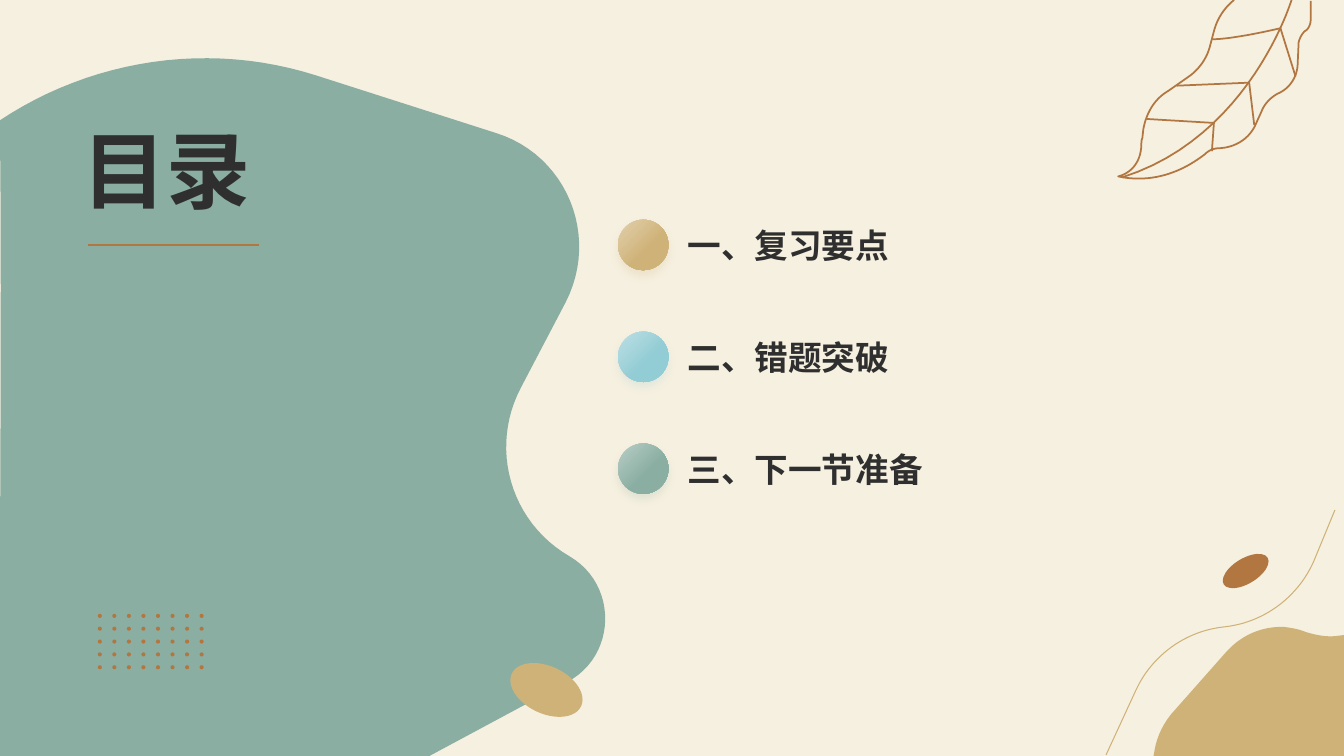
from lxml.etree import SubElement
from pptx import Presentation
from pptx.dml.color import RGBColor
from pptx.enum.shapes import MSO_CONNECTOR, MSO_SHAPE
from pptx.enum.text import MSO_ANCHOR, MSO_AUTO_SIZE, PP_ALIGN
from pptx.oxml.ns import qn
from pptx.util import Inches, Pt

CREAM = RGBColor(0xF6, 0xF0, 0xE0)
SAGE = RGBColor(0x8A, 0xAE, 0xA2)
PALE_SAGE = RGBColor(0xB9, 0xCE, 0xC7)
SAND = RGBColor(0xCF, 0xB2, 0x78)
PALE_SAND = RGBColor(0xE2, 0xD1, 0xAE)
SKY = RGBColor(0x92, 0xCC, 0xD4)
PALE_SKY = RGBColor(0xBE, 0xE0, 0xE5)
COPPER = RGBColor(0xB2, 0x76, 0x40)
INK = RGBColor(0x2F, 0x2F, 0x2F)
FONT = "Noto Sans CJK SC"
CURVE_STEPS = 24

prs = Presentation()
prs.slide_width, prs.slide_height = Inches(13.33), Inches(7.5)
slide = prs.slides.add_slide(prs.slide_layouts[5])
shapes = slide.shapes
slide.background.fill.solid()
slide.background.fill.fore_color.rgb = CREAM


def draw_outline(start, segments, fill=None, line=None, weight=1.25):
    """Segments hold an end point (2 numbers) or a cubic curve (6 numbers)."""
    points = [start]
    for segment in segments:
        if len(segment) == 2:
            points.append(segment)
            continue
        x0, y0 = points[-1]
        x1, y1, x2, y2, x3, y3 = segment
        for step in range(1, CURVE_STEPS + 1):
            t = step / CURVE_STEPS
            a, b, c, d = (1 - t) ** 3, 3 * t * (1 - t) ** 2, 3 * t * t * (1 - t), t ** 3
            points.append((a * x0 + b * x1 + c * x2 + d * x3,
                           a * y0 + b * y1 + c * y2 + d * y3))
    corners = [(Inches(x), Inches(y)) for x, y in points]
    builder = shapes.build_freeform(*corners[0])
    builder.add_line_segments(corners[1:], close=fill is not None)
    outline = builder.convert_to_shape()
    outline.shadow.inherit = False
    if fill is not None:
        outline.fill.solid()
        outline.fill.fore_color.rgb = fill
        outline.line.fill.background()
    else:
        outline.fill.background()
        outline.line.color.rgb = line
        outline.line.width = Pt(weight)


def write_text(box, text, size, anchor):
    frame = box.text_frame
    frame.word_wrap = True
    frame.auto_size = MSO_AUTO_SIZE.NONE
    frame.vertical_anchor = anchor
    paragraph = frame.paragraphs[0]
    paragraph.alignment = PP_ALIGN.LEFT
    run = paragraph.add_run()
    run.text = text
    for key, value in {"size": Pt(size), "bold": True, "name": FONT}.items():
        setattr(run.font, key, value)
    run.font.color.rgb = INK
    SubElement(run._r.get_or_add_rPr(), qn("a:ea")).set("typeface", FONT)
    return paragraph


# Large sage area on the left
draw_outline((-0.01, 1.2), [
    (0.92, 0.58, 2.08, 0.41, 3.14, 0.75), (4.92, 1.32),
    (5.62, 1.54, 5.95, 2.34, 5.61, 3), (5.17, 3.84),
    (4.85, 4.44, 5.06, 5.18, 5.65, 5.52),
    (6.13, 5.8, 6.12, 6.51, 5.62, 6.77), (4.26, 7.5), (-0.01, 7.5),
    (-0.01, 7.5, 0.03, 1.25, -0.01, 1.2)], fill=SAGE)

# Contents entries, each with a shaded dot
entries = [("一、复习要点", PALE_SAND, SAND),
           ("二、错题突破", PALE_SKY, SKY),
           ("三、下一节准备", PALE_SAGE, SAGE)]
for row, (entry, pale, full) in enumerate(entries):
    top = Inches(2.18 + 1.11 * row)
    marker = shapes.add_shape(MSO_SHAPE.OVAL, Inches(6.13), top, Inches(0.5), Inches(0.5))
    marker.line.fill.background()
    marker.fill.gradient()
    marker.fill.gradient_angle = 315
    for stop, position, color in zip(marker.fill.gradient_stops, (0, 0.6), (pale, full)):
        stop.position = position
        stop.color.rgb = color
    marker.shadow.inherit = False
    effects = marker._element.spPr.find(qn("a:effectLst"))
    glow = SubElement(effects, qn("a:outerShdw"), blurRad=str(Pt(6)), dist=str(Pt(4)),
                      dir="5400000", algn="t", rotWithShape="0")
    tint = SubElement(glow, qn("a:srgbClr"), val=str(full))
    SubElement(tint, qn("a:alpha"), val="20000")
    label = shapes.add_textbox(Inches(6.72), top, Inches(5.87), Inches(0.5))
    write_text(label, entry, 24, MSO_ANCHOR.MIDDLE)

# Title, brought in front of the sage area, and its rule
title = shapes.title
title.left, title.top = Inches(0.72), Inches(1.24)
title.width, title.height = Inches(3.96), Inches(1.11)
write_text(title, "目录", 60, MSO_ANCHOR.TOP).line_spacing = 0.9
shapes._spTree.append(title._element)
rule = shapes.add_connector(MSO_CONNECTOR.STRAIGHT, Inches(0.87), Inches(2.43),
                            Inches(2.57), Inches(2.43))
rule.line.color.rgb = COPPER
rule.line.width = Pt(2)
SubElement(rule._element.spPr, qn("a:effectLst"))

# Sand corner at the lower right
draw_outline((12.74, 6.22), [
    (12.81, 6.23, 12.88, 6.24, 12.95, 6.27), (13.05, 6.3, 13.15, 6.32, 13.25, 6.31),
    (13.33, 6.3), (13.33, 7.5), (11.44, 7.5), (11.45, 7.45),
    (11.47, 7.32, 11.53, 7.19, 11.62, 7.08), (12.16, 6.47),
    (12.31, 6.3, 12.52, 6.21, 12.74, 6.22)], fill=SAND)

# Winding line above the corner
draw_outline((10.97, 7.49), [
    (11.27, 6.84), (11.43, 6.5, 11.76, 6.26, 12.14, 6.22),
    (12.53, 6.18, 12.87, 5.93, 13.03, 5.57), (13.24, 5.06)], line=SAND, weight=0.75)

# Dot grid of 8 by 5, and the two tilted pebbles
ovals = [(0.97 + 1.01 / 7 * col, 6.09 + 0.51 / 4 * row, 0.04, 0.04, 0, COPPER)
         for col in range(8) for row in range(5)]
ovals += [(12.1, 5.54, 0.51, 0.25, 328.7, COPPER), (5.04, 6.61, 0.76, 0.47, 25.2, SAND)]
for left, top, width, height, tilt, color in ovals:
    oval = shapes.add_shape(MSO_SHAPE.OVAL, Inches(left), Inches(top),
                            Inches(width), Inches(height))
    oval.rotation = tilt
    oval.shadow.inherit = False
    oval.fill.solid()
    oval.fill.fore_color.rgb = color
    oval.line.fill.background()

# Leaf: edge, midrib and veins
leaf = [
    ((13, 0.01), [
        (13, 0.19), (13, 0.24, 12.98, 0.29, 12.94, 0.31),
        (12.91, 0.34, 12.89, 0.38, 12.88, 0.42), (12.87, 0.65),
        (12.86, 0.77, 12.79, 0.88, 12.67, 0.93), (12.6, 0.97, 12.54, 1.03, 12.51, 1.11),
        (12.46, 1.22), (12.4, 1.37, 12.26, 1.46, 12.1, 1.47),
        (12.04, 1.47, 11.99, 1.49, 11.95, 1.53), (11.82, 1.63, 11.51, 1.84, 11.09, 1.75),
        (11.09, 1.75, 11.31, 1.71, 11.32, 1.44), (11.32, 1.42, 11.32, 1.39, 11.33, 1.37),
        (11.34, 1.28), (11.37, 1.12, 11.45, 0.98, 11.59, 0.9), (11.79, 0.76),
        (11.89, 0.69, 11.97, 0.58, 12, 0.46), (12.04, 0.31),
        (12.07, 0.19, 12.14, 0.08, 12.24, 0)]),
    ((12.81, 0), [(12.81, 0, 12.4, 1.36, 11.13, 1.76)]),
    ((12.85, 0.76), [(12.7, 0.28), (12.7, 0.28, 12.24, 0.39, 12.02, 0.39)]),
    ((12.44, 1.24), [(12.39, 0.82), (11.67, 0.85)]),
    ((12.02, 1.5), [(12.04, 1.22), (11.37, 1.18)]),
]
for start, segments in leaf:
    draw_outline(start, segments, line=COPPER)

prs.save("out.pptx")
